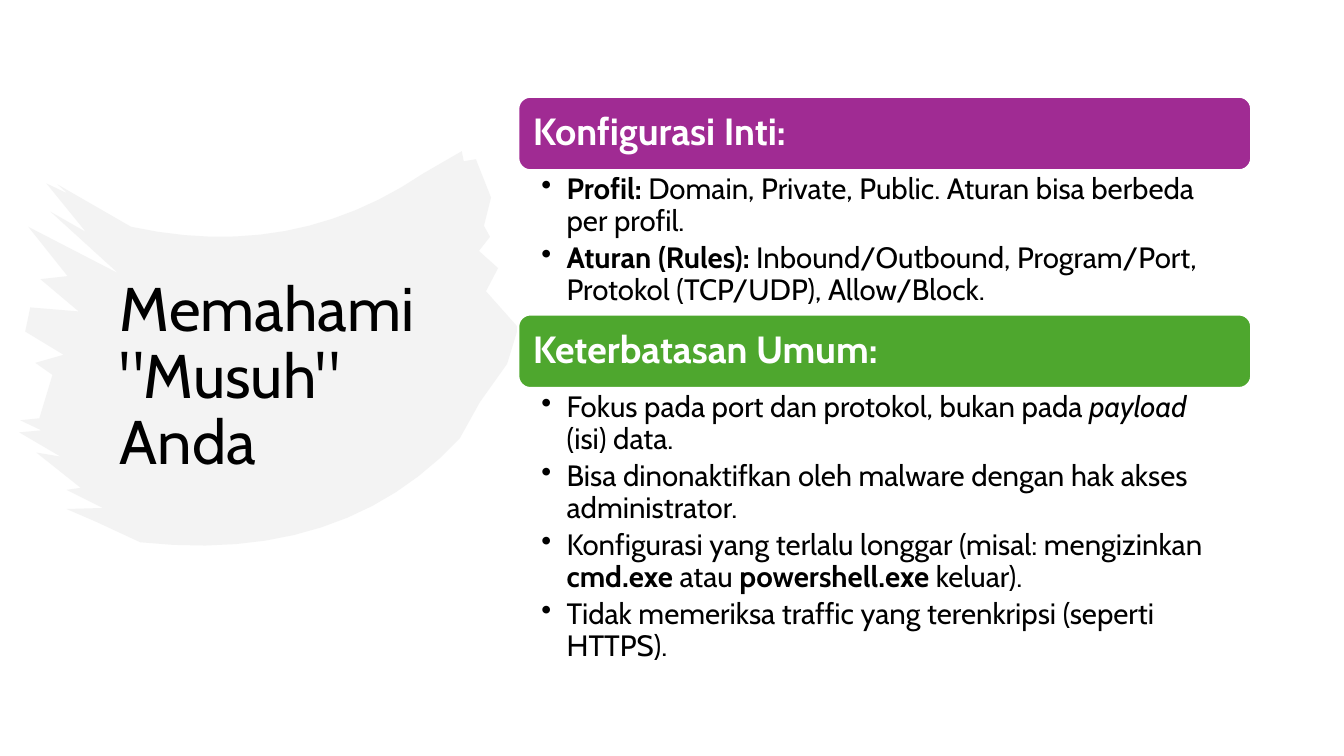
from dataclasses import dataclass
from typing import NamedTuple

from lxml.etree import SubElement
from pptx import Presentation
from pptx.dml.color import RGBColor
from pptx.enum.shapes import MSO_SHAPE as Preset
from pptx.enum.text import MSO_ANCHOR as Anchor, MSO_AUTO_SIZE as AutoSize, PP_ALIGN as Align
from pptx.oxml.ns import qn
from pptx.util import Inches, Pt

COLORS = {"text": "000000", "white": "FFFFFF", "brush": "E8E8E8",
          "purple": "A02B93", "green": "4EA72E"}
FONT = "Cabin"
PANEL_LEFT, PANEL_WIDTH, BAR_HEIGHT = 5.14, 7.27, 0.73
CURVE_STEPS = 12


class Point(NamedTuple):
    x: float
    y: float


class Curve(NamedTuple):
    start: Point
    control: Point
    end: Point


TOP_EDGE = Curve(Point(1.3, 2.25), Point(2.9, 2.6), Point(4.2, 1.72))
BOTTOM_EDGE = Curve(Point(4.56, 4.35), Point(3.4, 5.6), Point(1.39, 5.38))
RIGHT_BRISTLES = [
    Point(4.58, 1.5), Point(4.6, 1.6), Point(4.72, 1.58), Point(4.87, 1.96),
    Point(4.8, 2.24), Point(4.86, 2.35), Point(4.75, 2.49), Point(4.94, 2.66),
    Point(4.82, 2.89), Point(5.14, 3.25), Point(5.03, 3.61), Point(4.76, 3.99),
]
LEFT_BRISTLES = [
    Point(0.96, 5.18), Point(0.66, 5.05), Point(1.02, 5.04), Point(0.66, 4.86),
    Point(0.8, 4.84), Point(0.36, 4.49), Point(0.6, 4.53), Point(0.19, 4.29),
    Point(0.41, 4.27), Point(0.2, 4.17), Point(0.39, 4.15), Point(0.52, 3.72),
    Point(0.35, 3.6), Point(0.63, 3.52), Point(0.25, 3.29), Point(0.3, 3.05),
    Point(0.78, 3.09), Point(0.4, 2.77), Point(0.67, 2.74), Point(0.28, 2.25),
    Point(1.17, 2.71), Point(0.5, 2.1), Point(0.85, 2.3), Point(0.46, 1.82),
    Point(0.67, 1.92), Point(0.57, 1.83),
]


class Span(NamedTuple):
    text: str
    bold: bool = False
    italic: bool = False


@dataclass
class Section:
    heading: str
    color: str
    top: float
    body_height: float
    bullets: list[list[Span]]


SECTIONS = [
    Section("Konfigurasi Inti:", "purple", 0.96, 1.44, [
        [Span("Profil:", bold=True),
         Span(" Domain, Private, Public. Aturan bisa berbeda per profil.")],
        [Span("Aturan (Rules):", bold=True),
         Span(" Inbound/Outbound, Program/Port, Protokol (TCP/UDP), Allow/Block.")],
    ]),
    Section("Keterbatasan Umum:", "green", 3.12, 2.87, [
        [Span("Fokus pada port dan protokol, bukan pada "),
         Span("payload", italic=True), Span(" (isi) data.")],
        [Span("Bisa dinonaktifkan oleh malware dengan hak akses administrator.")],
        [Span("Konfigurasi yang terlalu longgar (misal: mengizinkan "),
         Span("cmd.exe", bold=True), Span(" atau "),
         Span("powershell.exe", bold=True), Span(" keluar).")],
        [Span("Tidak memeriksa traffic yang terenkripsi (seperti HTTPS).")],
    ]),
]


def rgb(name: str) -> RGBColor:
    return RGBColor.from_string(COLORS[name])


def apply_format(target, values: dict) -> None:
    for name, value in values.items():
        setattr(target, name, value)


def place(shape, left: float, top: float, width: float, height: float) -> None:
    apply_format(shape, {"left": Inches(left), "top": Inches(top),
                         "width": Inches(width), "height": Inches(height)})


def set_frame(frame, anchor, left=0.1, top=0.05, right=0.1, bottom=0.05) -> None:
    apply_format(frame, {
        "word_wrap": True, "auto_size": AutoSize.NONE, "vertical_anchor": anchor,
        "margin_left": Inches(left), "margin_top": Inches(top),
        "margin_right": Inches(right), "margin_bottom": Inches(bottom)})


def write_spans(paragraph, spans: list[Span], size: float, color: str) -> None:
    apply_format(paragraph, {"alignment": Align.LEFT, "line_spacing": 0.9})
    for span in spans:
        run = paragraph.add_run()
        run.text = span.text
        apply_format(run.font, {"name": FONT, "size": Pt(size),
                                "bold": span.bold, "italic": span.italic})
        run.font.color.rgb = rgb(color)


def add_bullet(paragraph) -> None:
    properties = paragraph._p.get_or_add_pPr()
    properties.set("marL", str(Inches(0.25)))
    properties.set("indent", str(-Inches(0.25)))
    SubElement(properties, qn("a:buChar")).set("char", "•")


def curve_points(curve: Curve) -> list[Point]:
    """Sample a quadratic Bezier curve at equal parameter steps."""
    points = []
    for step in range(CURVE_STEPS + 1):
        t = step / CURVE_STEPS
        weights = ((1 - t) ** 2, 2 * t * (1 - t), t ** 2)
        points.append(Point(sum(w * p.x for w, p in zip(weights, curve)),
                            sum(w * p.y for w, p in zip(weights, curve))))
    return points


def add_brush(slide):
    outline = [(Inches(point.x), Inches(point.y)) for point in
               curve_points(TOP_EDGE) + RIGHT_BRISTLES
               + curve_points(BOTTOM_EDGE) + LEFT_BRISTLES]
    builder = slide.shapes.build_freeform(*outline[0])
    builder.add_line_segments(outline[1:])
    brush = builder.convert_to_shape()
    brush.shadow.inherit = False
    brush.fill.solid()
    brush.fill.fore_color.rgb = rgb("brush")
    color = brush.element.spPr.find(f"{qn('a:solidFill')}/{qn('a:srgbClr')}")
    SubElement(color, qn("a:alpha")).set("val", "50000")
    brush.line.fill.background()
    return brush


def add_section(slide, section: Section) -> None:
    bar = slide.shapes.add_shape(Preset.ROUNDED_RECTANGLE, 0, 0, 0, 0)
    place(bar, PANEL_LEFT, section.top, PANEL_WIDTH, BAR_HEIGHT)
    bar.shadow.inherit = False
    bar.fill.solid()
    bar.fill.fore_color.rgb = rgb(section.color)
    bar.line.color.rgb = rgb("white")
    bar.line.width = Pt(1.5)
    set_frame(bar.text_frame, Anchor.MIDDLE, 0.11, 0.11, 0.11, 0.11)
    write_spans(bar.text_frame.paragraphs[0], [Span(section.heading, bold=True)], 27, "white")

    body = slide.shapes.add_textbox(0, 0, 0, 0)
    place(body, PANEL_LEFT, section.top + BAR_HEIGHT, PANEL_WIDTH, section.body_height)
    frame = body.text_frame
    set_frame(frame, Anchor.TOP, 0.23, 0.04, 0.21, 0.04)
    for index, spans in enumerate(section.bullets):
        paragraph = frame.add_paragraph() if index else frame.paragraphs[0]
        paragraph.space_after = Pt(4)
        add_bullet(paragraph)
        write_spans(paragraph, spans, 21, "text")


def main() -> None:
    presentation = Presentation()
    presentation.slide_width = Inches(13.33)
    presentation.slide_height = Inches(7.5)
    slide = presentation.slides.add_slide(presentation.slide_layouts[5])

    title = slide.shapes.title
    place(title, 1.09, 0.75, 3.82, 6.01)
    set_frame(title.text_frame, Anchor.MIDDLE)
    write_spans(title.text_frame.paragraphs[0], [Span('Memahami "Musuh" Anda')], 44, "text")
    title.element.addprevious(add_brush(slide).element)

    for section in SECTIONS:
        add_section(slide, section)
    presentation.save("out.pptx")


if __name__ == "__main__":
    main()
